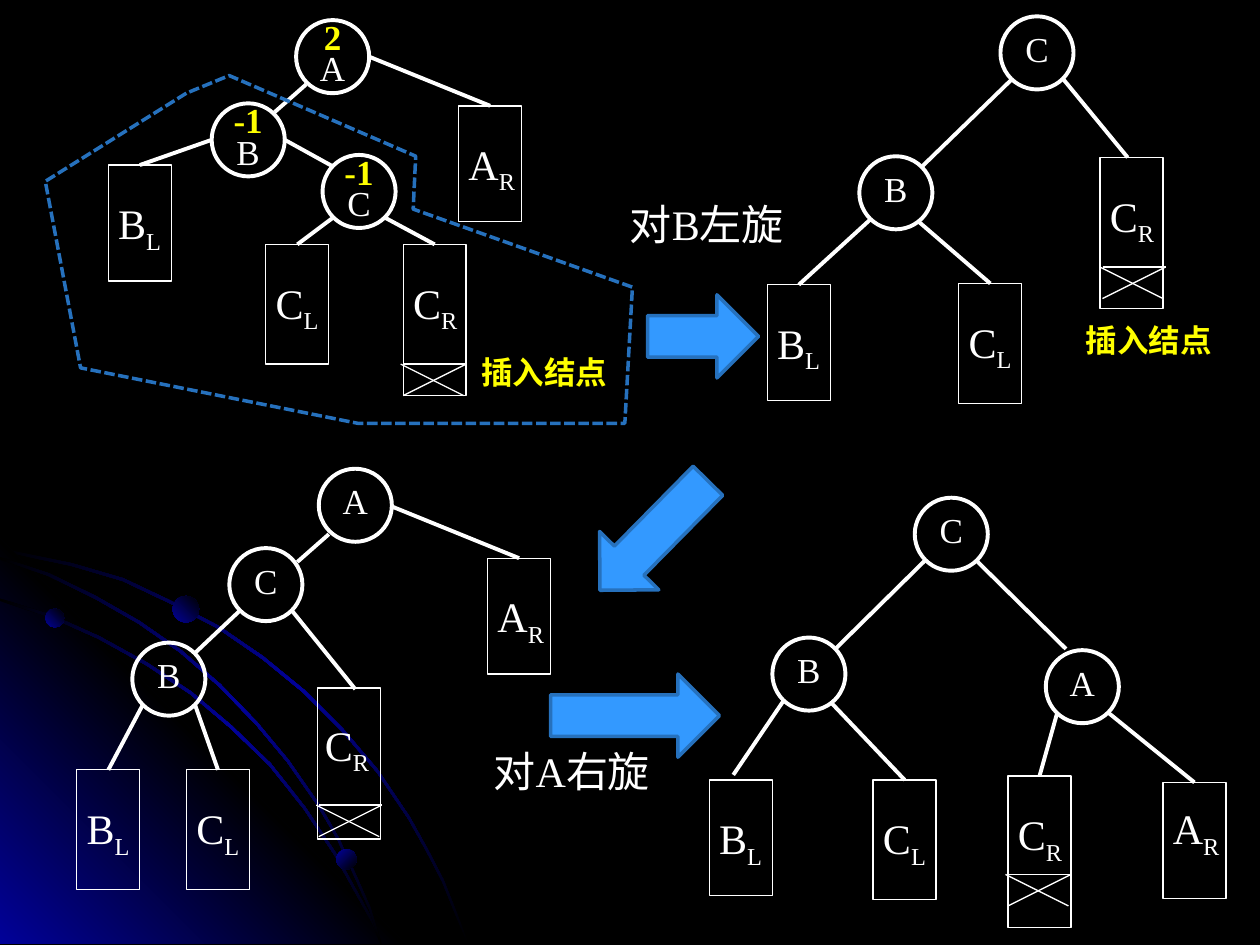
from lxml.etree import SubElement
from pptx import Presentation
from pptx.dml.color import RGBColor
from pptx.enum.dml import MSO_LINE
from pptx.enum.shapes import MSO_CONNECTOR, MSO_SHAPE
from pptx.enum.text import MSO_ANCHOR, MSO_AUTO_SIZE, PP_ALIGN
from pptx.oxml.ns import qn
from pptx.util import Pt

PX = 9144  # 100 px to the inch
WHITE, YELLOW, BLACK, NAVY = "FFFFFF", "FFFF00", "000000", "010199"
ARROW_FILL, ARROW_LINE = "3399FF", "2671BD"
NODE, BOX_W, CROSS_H = 58, 50, 25


def rgb(color):
    return RGBColor.from_string(color)


def add_run(p, text, size=24, color=WHITE, bold=False, subscript=False):
    r = p.add_run()
    r.text = text
    font = r.font
    font.name, font.size, font.bold = "Times New Roman", Pt(size), bold
    font.color.rgb = rgb(color)
    if subscript:
        r._r.get_or_add_rPr().set("baseline", "-25000")


class Diagram:
    def __init__(self, slide):
        self.slide, self.shapes = slide, slide.shapes
        fill = slide.background.fill
        fill.solid()
        fill.fore_color.rgb = rgb(BLACK)

    def style(self, sp, fill=None, line=None, width=0.75):
        sp.shadow.inherit = False
        if fill:
            sp.fill.solid()
            sp.fill.fore_color.rgb = rgb(fill)
        else:
            sp.fill.background()
        if line:
            sp.line.color.rgb = rgb(line)
            sp.line.width = Pt(width)
        else:
            sp.line.fill.background()
        return sp

    def preset(self, kind, x, y, w, h, **style):
        sp = self.shapes.add_shape(kind, x * PX, y * PX, w * PX, h * PX)
        return self.style(sp, **style)

    def outline(self, points, **style):
        builder = self.shapes.build_freeform(*points[0], scale=PX)
        builder.add_line_segments(points[1:], close=True)
        return self.style(builder.convert_to_shape(), **style)

    def gradient(self, sp, colors, angle):
        """Fill with evenly spaced colours; the angle runs clockwise."""
        sp.fill.gradient()
        sp.fill.gradient_angle = 360 - angle
        stops = next(sp._element.iter(qn("a:gsLst")))
        for stop in list(stops):
            stops.remove(stop)
        for i, color in enumerate(colors):
            pos = str(100000 * i // (len(colors) - 1))
            stop = SubElement(stops, qn("a:gs"), pos=pos)
            SubElement(stop, qn("a:srgbClr"), val=color)

    def orbit(self, edge):
        """Draw a thin band under the given upper edge."""
        lower = [(max(x - 1, 0), min(y + 2, 749)) for x, y in reversed(edge)]
        self.gradient(self.outline(edge + lower), [BLACK, NAVY, BLACK], 45)

    def planet(self, x, y, size, angle):
        sp = self.preset(MSO_SHAPE.OVAL, x, y, size, size)
        self.gradient(sp, [NAVY, BLACK], angle)

    def line(self, x1, y1, x2, y2, width=2.25):
        c = self.shapes.add_connector(
            MSO_CONNECTOR.STRAIGHT, x1 * PX, y1 * PX, x2 * PX, y2 * PX)
        c.line.color.rgb = rgb(WHITE)
        c.line.width = Pt(width)
        SubElement(c._element.spPr, qn("a:effectLst"))

    def node(self, x, y, name, balance=None):
        sp = self.preset(MSO_SHAPE.OVAL, x, y, NODE, NODE, line=WHITE, width=2.25)
        tf = sp.text_frame
        tf.word_wrap, tf.vertical_anchor = False, MSO_ANCHOR.MIDDLE
        p = tf.paragraphs[0]
        if balance:
            add_run(p, balance, size=20, color=YELLOW, bold=True)
            p = tf.add_paragraph()
        add_run(p, name, size=20)
        for p in tf.paragraphs:
            p.alignment, p.line_spacing = PP_ALIGN.CENTER, 0.75

    def label(self, x, y, w, h, text, wrap=False, subscript=None, **fmt):
        box = self.shapes.add_textbox(x * PX, y * PX, w * PX, h * PX)
        tf = box.text_frame
        tf.word_wrap, tf.auto_size = wrap, MSO_AUTO_SIZE.SHAPE_TO_FIT_TEXT
        p = tf.paragraphs[0]
        add_run(p, text, **fmt)
        if subscript:
            add_run(p, subscript, subscript=True, **fmt)

    def subtree(self, x, y, h, name, side, dx=-2, dy=21):
        self.preset(MSO_SHAPE.RECTANGLE, x, y, BOX_W, h, line=WHITE)
        self.label(x + dx, y + dy, 57, 50, name, subscript=side)

    def inserted(self, x, y):
        """Draw the crossed cell of the newly inserted node."""
        bottom, right = y + CROSS_H, x + BOX_W
        self.line(x - 2, y, right - 2, bottom, width=0.75)
        self.line(x, bottom, right, y, width=0.75)
        self.line(x, y, right, y, width=0.75)

    def arrow(self, x, y, w, rotation=0):
        sp = self.preset(MSO_SHAPE.RIGHT_ARROW, x, y, w, 66,
                         fill=ARROW_FILL, line=ARROW_LINE, width=2)
        sp.rotation = rotation

    def tree(self, nodes, subtrees, edges, cross):
        for edge in edges:
            self.line(*edge)
        for node in nodes:
            self.node(*node)
        for subtree in subtrees:
            self.subtree(*subtree)
        self.inserted(*cross)


def draw_backdrop(d):
    d.orbit([(0, 435), (28, 441), (57, 447), (98, 459), (136, 477), (174, 497),
             (209, 521), (242, 548), (272, 578), (300, 611), (325, 648),
             (339, 673), (352, 698), (362, 723), (372, 749)])
    corner = d.outline([(322, 749), (0, 749), (0, 427)])
    d.gradient(corner, [NAVY, BLACK, NAVY], 315)
    d.orbit([(0, 475), (41, 488), (79, 505), (117, 526), (152, 549), (184, 576),
             (215, 606), (242, 640), (266, 676), (286, 712), (296, 730), (303, 749)])
    d.orbit([(0, 442), (39, 455), (76, 473), (111, 493), (144, 516), (175, 543),
             (204, 573), (229, 603), (254, 639), (269, 665), (282, 693),
             (294, 720), (303, 749)])
    d.planet(36, 483, 15, 315)
    d.planet(267, 674, 16, 45)
    d.planet(137, 473, 21, 315)


def draw_trees(d):
    d.tree(  # unbalanced
        nodes=[(235, 16, "A", "2"), (168, 82, "B", "-1"), (256, 123, "C", "-1")],
        subtrees=[(86, 131, 92, "B", "L"), (211, 194, 95, "C", "L"),
                  (320, 194, 120, "C", "R"), (364, 84, 92, "A", "R")],
        edges=[(243, 67, 218, 89), (226, 111, 264, 132), (264, 173, 236, 194),
               (306, 173, 345, 194), (293, 45, 389, 84), (168, 111, 111, 131)],
        cross=(320, 289))
    d.tree(  # left subtree after rotating B
        nodes=[(794, 13, "C"), (682, 124, "B")],
        subtrees=[(609, 226, 92, "B", "L"), (761, 225, 95, "C", "L"),
                  (873, 125, 120, "C", "R")],
        edges=[(732, 132, 803, 63), (728, 175, 786, 225), (844, 63, 895, 125),
               (691, 174, 634, 226)],
        cross=(875, 212))
    d.tree(  # whole tree after rotating B
        nodes=[(253, 372, "A"), (182, 435, "C"), (105, 510, "B")],
        subtrees=[(387, 443, 92, "A", "R"), (61, 611, 95, "B", "L"),
                  (148, 611, 95, "C", "L"), (252, 546, 120, "C", "R", -4, 20)],
        edges=[(261, 424, 236, 446), (311, 402, 412, 443), (155, 518, 190, 485),
               (155, 560, 173, 611), (232, 485, 282, 547), (113, 560, 86, 611)],
        cross=(253, 639))
    d.tree(  # balanced after rotating A
        nodes=[(726, 395, "C"), (613, 506, "B"), (830, 516, "A")],
        subtrees=[(563, 619, 92, "B", "L"), (693, 619, 95, "C", "L"),
                  (800, 616, 120, "C", "R"), (923, 621, 92, "A", "R", -2, 11)],
        edges=[(663, 515, 734, 445), (775, 445, 846, 515), (622, 556, 582, 615),
               (659, 557, 718, 619), (839, 566, 825, 616), (880, 566, 948, 621)],
        cross=(800, 694))


def main():
    prs = Presentation()
    prs.slide_width, prs.slide_height = 1000 * PX, 750 * PX
    d = Diagram(prs.slides.add_slide(prs.slide_layouts[6]))
    draw_backdrop(d)
    draw_trees(d)

    d.arrow(514, 234, 88)
    d.arrow(437, 535, 134)
    d.arrow(458, 392, 122, rotation=134.6)
    d.label(490, 153, 142, 50, "对B左旋", wrap=True)
    d.label(382, 587, 144, 50, "对A右旋", wrap=True)
    for x, y in [(372, 275), (852, 250)]:
        d.label(x, y, 121, 40, "插入结点", size=18, color=YELLOW, bold=True)

    region = d.outline([(148, 74), (36, 144), (64, 292), (284, 336), (496, 336),
                        (502, 228), (328, 166), (330, 124), (182, 60)],
                       line=ARROW_LINE, width=2)
    region.line.dash_style = MSO_LINE.SQUARE_DOT
    prs.save("out.pptx")


if __name__ == "__main__":
    main()
